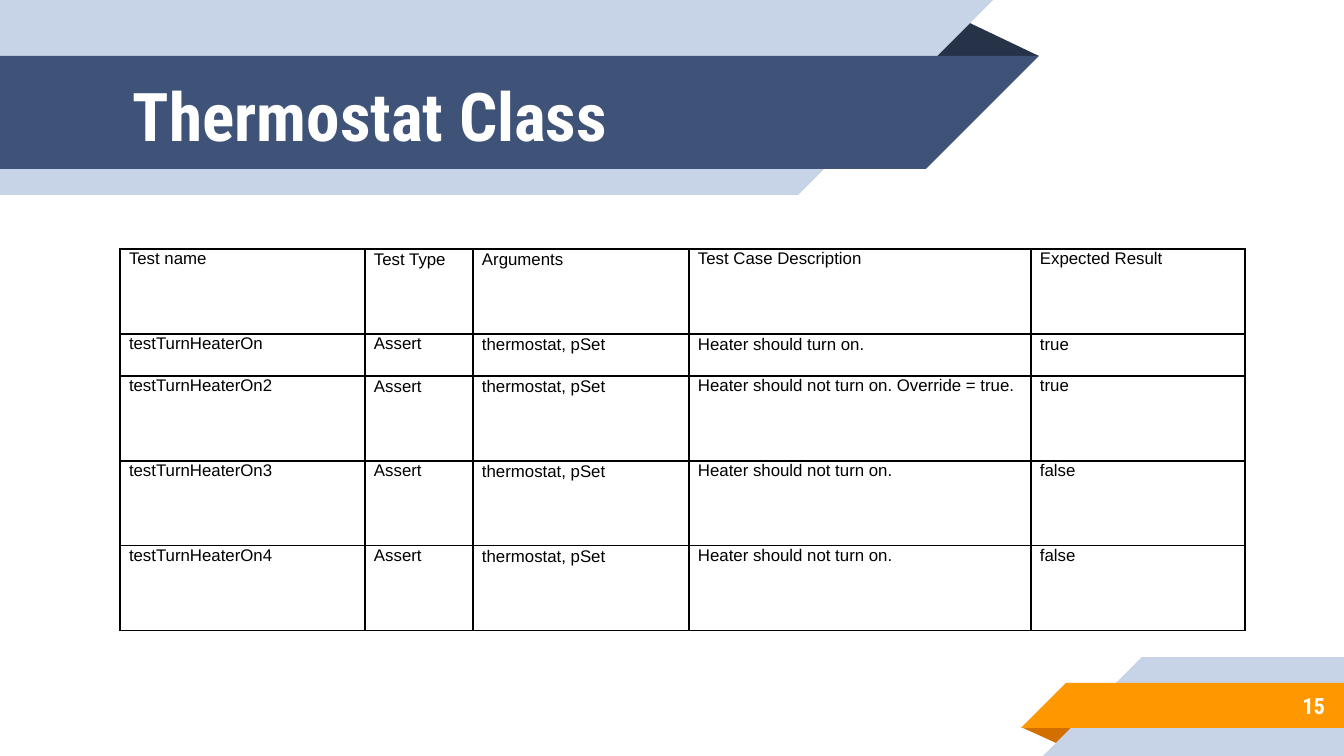
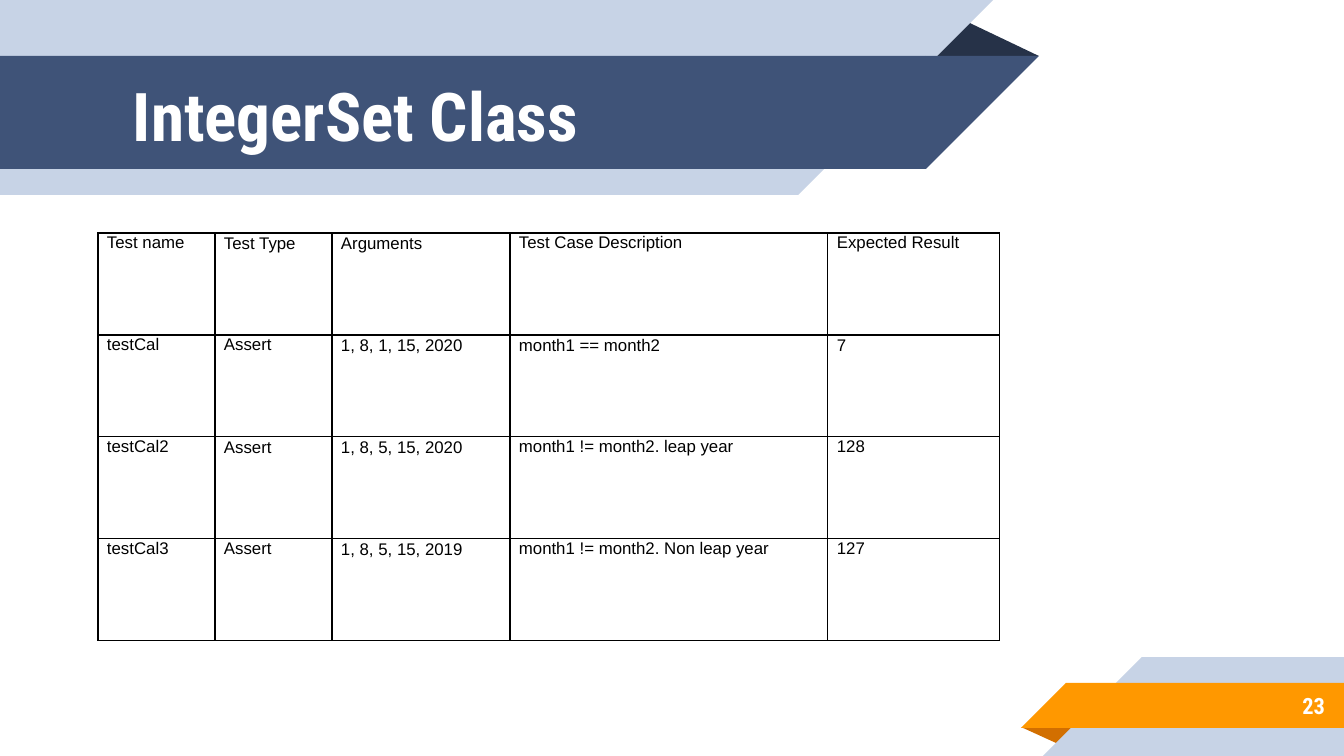
import pptx
import pptx.util
import pptx.oxml
import pptx.oxml.ns
import pptx.dml.color
import pptx.enum.shapes
import pptx.enum.text

RGBColor = pptx.dml.color.RGBColor
SHAPE = pptx.enum.shapes.MSO_SHAPE
ANCHOR = pptx.enum.text.MSO_ANCHOR
ALIGN = pptx.enum.text.PP_ALIGN

PX = 914400 / 134.4  # EMU per px
NAVY = RGBColor(0x3F, 0x53, 0x78)
DARK_NAVY = RGBColor(0x26, 0x32, 0x48)
PALE = RGBColor(0xC7, 0xD3, 0xE6)
ORANGE = RGBColor(0xFF, 0x98, 0x00)
DARK_ORANGE = RGBColor(0xD2, 0x6F, 0x00)
WHITE = RGBColor(0xFF, 0xFF, 0xFF)
BLACK = RGBColor(0x00, 0x00, 0x00)
HEAD_FONT = "Roboto Condensed"
BODY_FONT = "Arial"

# Title ribbon and page-number ribbon: preset, box in px, rotation, fill
RIBBONS = [
    (SHAPE.ISOSCELES_TRIANGLE, (925, 19, 114, 37), 0, DARK_NAVY),
    (SHAPE.RECTANGLE, (0, 0, 798, 195), 0, PALE),
    (SHAPE.RIGHT_TRIANGLE, (798, 0, 195, 195), 90, PALE),
    (SHAPE.RECTANGLE, (0, 56, 926, 113), 0, NAVY),
    (SHAPE.RIGHT_TRIANGLE, (926, 56, 113, 113), 90, NAVY),
    (SHAPE.ISOSCELES_TRIANGLE, (1021, 727, 58, 18), 180, DARK_ORANGE),
    (SHAPE.RECTANGLE, (1142, 657, 202, 99), 0, PALE),
    (SHAPE.RIGHT_TRIANGLE, (1043, 657, 99, 99), 270, PALE),
    (SHAPE.RECTANGLE, (1066, 683, 278, 45), 0, ORANGE),
    (SHAPE.RIGHT_TRIANGLE, (1021, 683, 45, 45), 270, ORANGE),
]

HEADINGS = ["Test name", "Test Type", "Arguments", "Test Case Description", "Expected Result"]
# Columns set with looser lines, row by row
LOOSE_COLS = [(1, 2), (2, 3, 4), (1, 2), (2,), (2,)]

SLIDES = [
    {
        "title": "Thermostat Class",
        "number": "15",
        "origin": (120, 249),
        "cols": [245, 108, 216, 342, 214],
        "rows": [85, 42, 85, 85, 85],
        "tests": [
            ["testTurnHeaterOn", "Assert", "thermostat, pSet", "Heater should turn on.", "true"],
            ["testTurnHeaterOn2", "Assert", "thermostat, pSet",
             "Heater should not turn on. Override = true.", "true"],
            ["testTurnHeaterOn3", "Assert", "thermostat, pSet", "Heater should not turn on.", "false"],
            ["testTurnHeaterOn4", "Assert", "thermostat, pSet", "Heater should not turn on.", "false"],
        ],
    },
    {
        "title": "IntegerSet Class",
        "number": "23",
        "origin": (98, 233),
        "cols": [117, 117, 178, 318, 172],
        "rows": [102] * 4,
        "tests": [
            ["testCal", "Assert", "1, 8, 1, 15, 2020", "month1 == month2", "7"],
            ["testCal2", "Assert", "1, 8, 5, 15, 2020", "month1 != month2. leap year", "128"],
            ["testCal3", "Assert", "1, 8, 5, 15, 2019", "month1 != month2. Non leap year", "127"],
        ],
    },
]


def emu(*lengths):
    return [pptx.util.Emu(round(n * PX)) for n in lengths]


def add_run(p, text, font, size, color, bold=False):
    r = p.add_run()
    r.text = text
    r.font.name = font
    r.font.size = pptx.util.Pt(size)
    r.font.color.rgb = color
    r.font.bold = bold


prs = pptx.Presentation()
prs.slide_width, prs.slide_height = emu(1344, 756)

for page in SLIDES:
    s = prs.slides.add_slide(prs.slide_layouts[6])

    for preset, box, rotation, color in RIBBONS:
        sp = s.shapes.add_shape(preset, *emu(*box))
        sp.rotation = rotation
        sp.shadow.inherit = False
        sp.fill.solid()
        sp.fill.fore_color.rgb = color
        sp.line.fill.background()
        if preset == SHAPE.ISOSCELES_TRIANGLE:
            sp.adjustments[0] = 0.32

    for text, box, size, align in [
        (page["title"], (120, 58, 808, 113), 36, ALIGN.LEFT),
        (page["number"], (1119, 682, 219, 47), 12, ALIGN.RIGHT),
    ]:
        tf = s.shapes.add_textbox(*emu(*box)).text_frame
        tf.word_wrap = True
        tf.vertical_anchor = ANCHOR.MIDDLE
        tf.margin_left, tf.margin_top, tf.margin_right, tf.margin_bottom = emu(13, 13, 13, 13)
        p = tf.paragraphs[0]
        p.alignment = align
        add_run(p, text, HEAD_FONT, size, WHITE, bold=True)

    cells = [HEADINGS] + page["tests"]
    size = (sum(page["cols"]), sum(page["rows"]))
    table = s.shapes.add_table(len(cells), len(HEADINGS), *emu(*page["origin"], *size)).table
    table.first_row = False
    table.horz_banding = False
    for col, width in zip(table.columns, emu(*page["cols"])):
        col.width = width
    for row, height in zip(table.rows, emu(*page["rows"])):
        row.height = height

    for i, texts in enumerate(cells):
        for j, text in enumerate(texts):
            cell = table.cell(i, j)
            cell.margin_left, cell.margin_top, cell.margin_right, cell.margin_bottom = emu(9, 0, 9, 0)
            for side in ("lnL", "lnR", "lnT", "lnB"):
                cell._tc.get_or_add_tcPr().append(pptx.oxml.parse_xml(
                    f'<a:{side} {pptx.oxml.ns.nsdecls("a")} w="{pptx.util.Pt(0.75)}">'
                    f'<a:solidFill><a:srgbClr val="{BLACK}"/></a:solidFill></a:{side}>'))
            cell.fill.background()
            p = cell.text_frame.paragraphs[0]
            if j in LOOSE_COLS[i]:
                p.line_spacing = 1.07
            add_run(p, text, BODY_FONT, 9, BLACK)

prs.save("out.pptx")
